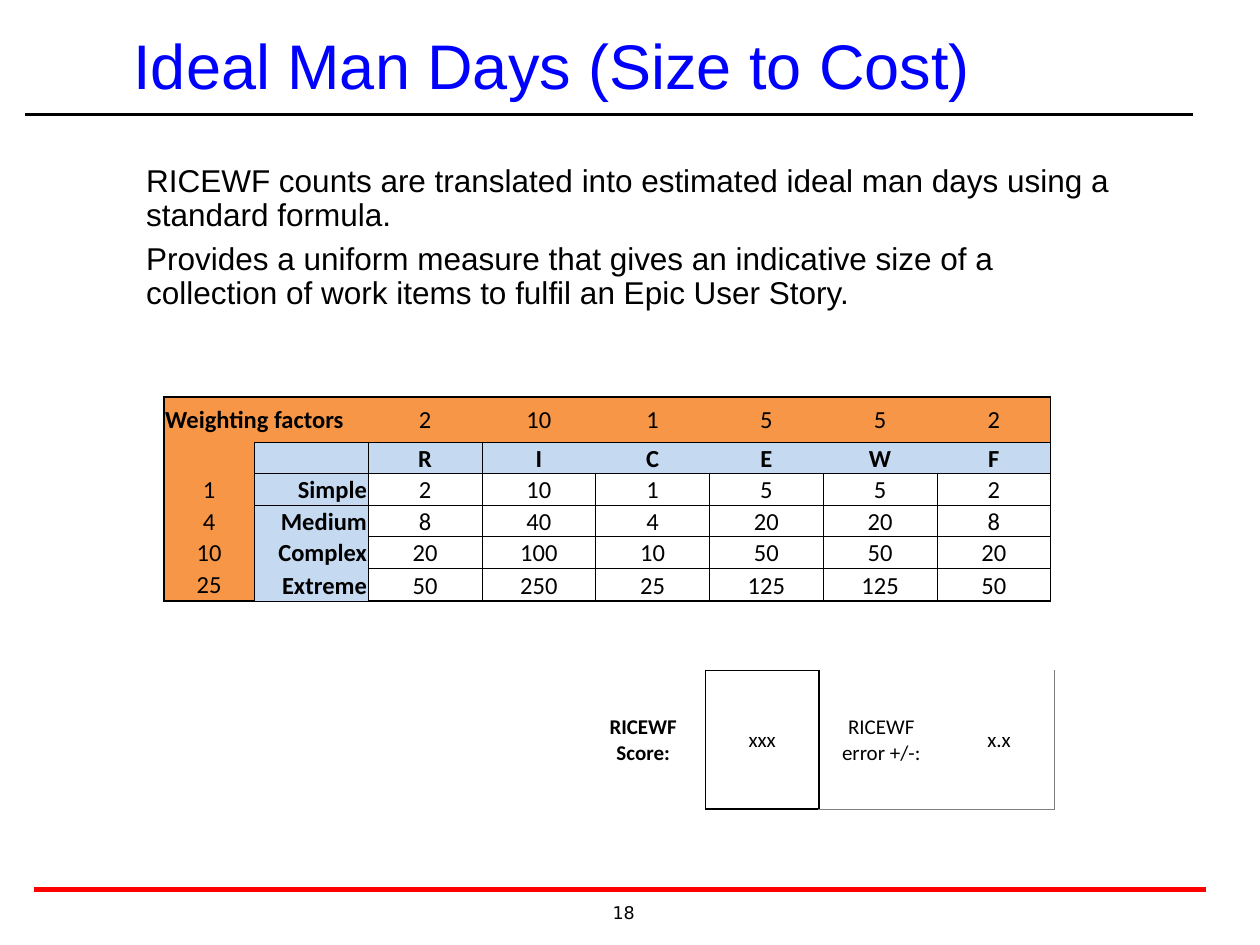
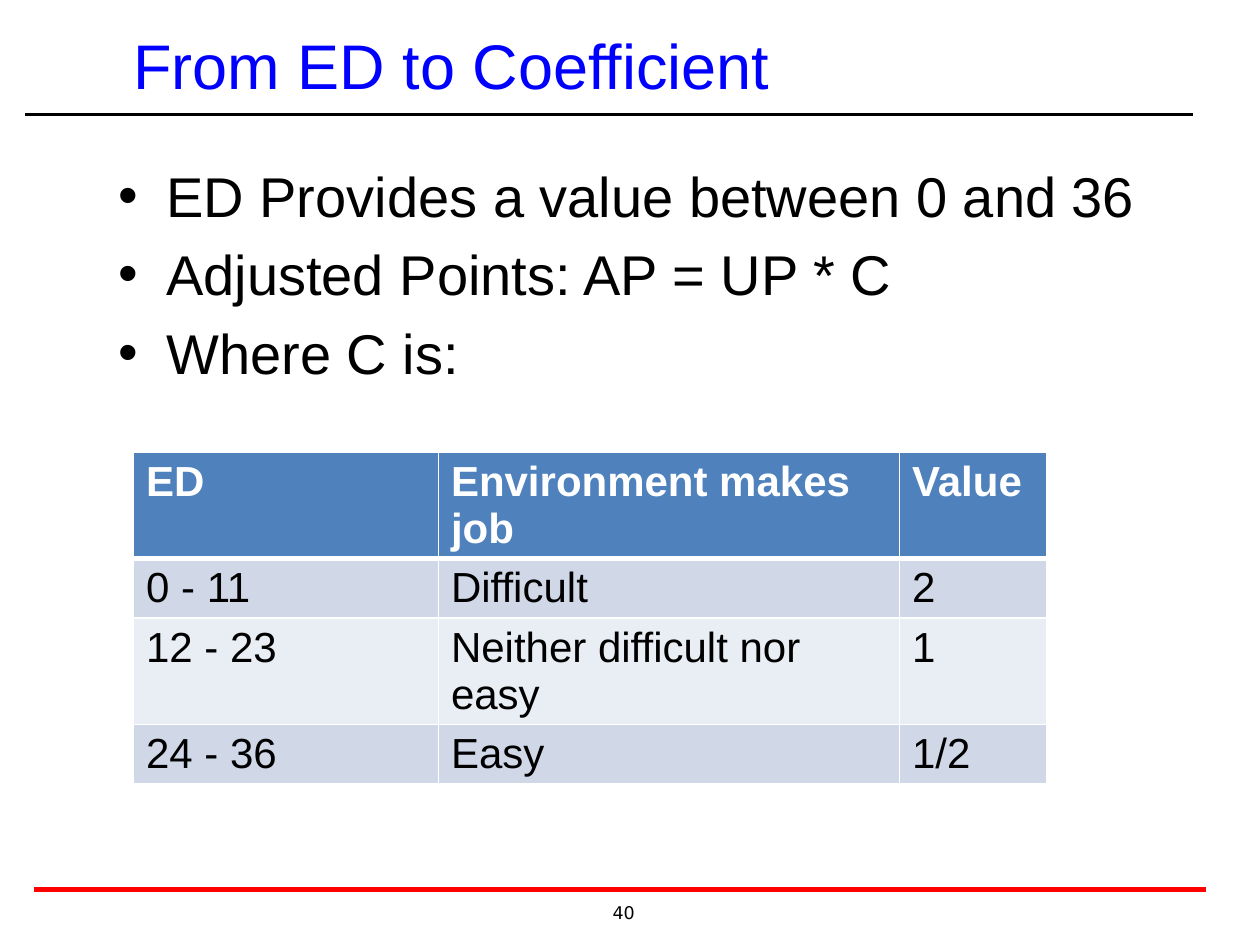
from dataclasses import dataclass

from lxml.etree import SubElement
from pptx import Presentation
from pptx.dml.color import RGBColor
from pptx.enum.shapes import MSO_CONNECTOR as Connector
from pptx.enum.text import MSO_ANCHOR as Anchor, MSO_AUTO_SIZE as AutoSize, PP_ALIGN as Align
from pptx.oxml.ns import qn
from pptx.util import Inches, Pt


@dataclass(frozen=True)
class Theme:
    # Colours
    black: str = "000000"
    white: str = "FFFFFF"
    grey: str = "808080"
    title: str = "0000FF"
    footer_rule: str = "FF0000"
    orange: str = "F79646"
    pale_blue: str = "C5D9F1"
    header: str = "4F81BD"
    bands: tuple = ("D0D8E8", "E9EDF4")
    # Fonts and sizes
    sans: str = "Arial"
    sheet: str = "Calibri"
    number: str = "DejaVu Sans"
    title_size: int = 36
    bullet_size: int = 32
    table_size: int = 24
    text_size: int = 18
    sheet_size: int = 14
    score_size: int = 12
    number_size: int = 10


THEME = Theme()
TITLE_AND_BODY = 1
PLAIN_TABLE_STYLE = "{2D5ABB26-0587-4C30-8999-92F81FD0307C}"
THIN, THICK, HEAVY = 0.5, 1, 3


# Shared helpers
def set_attributes(target, values):
    for name, value in values.items():
        setattr(target, name, value)


def place(shape, box):
    names = ("left", "top", "width", "height")
    set_attributes(shape, {name: Inches(value) for name, value in zip(names, box)})


def format_runs(paragraph, font, size, color=THEME.black, bold=False):
    for run in paragraph.runs:
        set_attributes(run.font, {"name": font, "size": Pt(size), "bold": bold})
        run.font.color.rgb = RGBColor.from_string(color)


def format_frame(frame, anchor, insets=(0, 0)):
    side, end = map(Inches, insets)
    set_attributes(frame, {
        "word_wrap": True, "auto_size": AutoSize.NONE, "vertical_anchor": anchor,
        "margin_left": side, "margin_right": side, "margin_top": end, "margin_bottom": end,
    })


def add_rule(slide, start, end, y, color, weight):
    rule = slide.shapes.add_connector(
        Connector.STRAIGHT, Inches(start), Inches(y), Inches(end), Inches(y))
    rule.line.color.rgb = RGBColor.from_string(color)
    rule.line.width = Pt(weight)
    SubElement(rule._element.spPr, qn("a:effectLst"))


def add_page(presentation, title, number):
    """Add a slide with the shared rules, page number and title."""
    slide = presentation.slides.add_slide(presentation.slide_layouts[TITLE_AND_BODY])
    add_rule(slide, 0.2, 9.47, 0.91, THEME.black, 2)
    add_rule(slide, 0.27, 9.57, 7.06, THEME.footer_rule, 3)

    # Page number
    label = slide.shapes.add_textbox(*map(Inches, (4.7, 7.12, 0.5, 0.25))).text_frame
    format_frame(label, Anchor.MIDDLE)
    label.text = str(number)
    label.paragraphs[0].alignment = Align.CENTER
    format_runs(label.paragraphs[0], THEME.number, THEME.number_size)

    # Title
    heading = slide.shapes.title
    place(heading, (1.06, 0.21, 8.43, 0.6))
    format_frame(heading.text_frame, Anchor.MIDDLE)
    heading.text_frame.text = title
    heading.text_frame.paragraphs[0].alignment = Align.LEFT
    format_runs(heading.text_frame.paragraphs[0], THEME.sans, THEME.title_size, THEME.title)
    return slide


def fill_body(slide, box, lines, size, insets, margin, hanging, spacing, gap):
    """Write paragraphs in the body placeholder, bulleted if they hang."""
    body = slide.placeholders[1]
    place(body, box)
    frame = body.text_frame
    format_frame(frame, Anchor.TOP, insets)
    frame.text = "\n".join(lines)
    for index, paragraph in enumerate(frame.paragraphs):
        properties = paragraph._p.get_or_add_pPr()
        properties.set("marL", str(Inches(margin)))
        properties.set("indent", str(Inches(-hanging)))
        if hanging:
            SubElement(properties, qn("a:buChar")).set("char", "•")
        else:
            SubElement(properties, qn("a:buNone"))
        set_attributes(paragraph, {
            "alignment": Align.LEFT, "line_spacing": spacing,
            "space_before": Pt(gap if index else 0),
        })
        format_runs(paragraph, THEME.sans, size)


# Table helpers
def add_plain_table(slide, left, top, columns, rows):
    shape = slide.shapes.add_table(
        len(rows), len(columns), Inches(left), Inches(top),
        Inches(sum(columns)), Inches(sum(rows)))
    table = shape.table
    set_attributes(table, {"first_row": False, "horz_banding": False})
    table._tbl.tblPr.find(qn("a:tableStyleId")).text = PLAIN_TABLE_STYLE
    for column, width in zip(table.columns, columns):
        column.width = Inches(width)
    for row, height in zip(table.rows, rows):
        row.height = Inches(height)
    return table


def set_borders(cell, borders, color):
    """Draw the sides named in borders, a dict of side to points."""
    properties = cell._tc.get_or_add_tcPr()
    for side in "LRTB":
        if side in borders:
            line = SubElement(properties, qn(f"a:ln{side}"), w=str(Pt(borders[side])))
            fill = SubElement(line, qn("a:solidFill"))
            SubElement(fill, qn("a:srgbClr"), val=color)


def write_cell(cell, text, font, size, color=THEME.black, bold=False, fill=None,
               borders=None, border_color=THEME.black, align=Align.LEFT,
               anchor=Anchor.TOP, insets=(0.1, 0.1, 0.05, 0.05)):
    set_borders(cell, borders or {}, border_color)
    if fill:
        cell.fill.solid()
        cell.fill.fore_color.rgb = RGBColor.from_string(fill)
    names = ("margin_left", "margin_right", "margin_top", "margin_bottom")
    set_attributes(cell, {name: Inches(inset) for name, inset in zip(names, insets)})
    cell.vertical_anchor = anchor
    if text:
        cell.text_frame.text = text
    paragraph = cell.text_frame.paragraphs[0]
    paragraph.alignment = align
    format_runs(paragraph, font, size, color, bold)
    if not text:
        SubElement(paragraph._p, qn("a:endParaRPr"), sz=str(size * 100))


SHEET_INSETS = (0.01, 0.01, 0.01, 0)


# Weighting table
def weighting_borders(row, column, last_row, last_column):
    if row == 0:
        borders = {"T": THICK}
        if column == 0:
            borders["L"] = THICK
        if column >= 2:
            borders["B"] = THIN
        if column == last_column:
            borders["R"] = THICK
    elif column == 0:
        borders = {"L": THICK, "R": THIN}
        if row == last_row:
            borders["B"] = THICK
    elif row == 1:
        borders = {"T": THIN, "B": THIN}
        if column <= 2:
            borders["L"] = THIN
        if column in (1, last_column):
            borders["R"] = THIN
    elif column == 1:
        borders = {"L": THIN, "R": THIN}
        if row == 2:
            borders["T"] = THIN
        if row == last_row:
            borders["B"] = THIN
    else:
        borders = dict.fromkeys("LRTB", THIN)
        if column == last_column:
            borders["R"] = THICK
        if row == last_row:
            borders["B"] = THICK
    return borders


def add_weighting_table(slide, left, top, width):
    weights = {"R": 2, "I": 10, "C": 1, "E": 5, "W": 5, "F": 2}
    levels = {"Simple": 1, "Medium": 4, "Complex": 10, "Extreme": 25}
    rows = [["Weighting factors", "", *weights.values()], ["", "", *weights]]
    for level, factor in levels.items():
        rows.append([factor, level, *(factor * weight for weight in weights.values())])

    last_row, last_column = len(rows) - 1, len(rows[0]) - 1
    factor_width = 0.72
    table = add_plain_table(
        slide, left, top,
        [factor_width] + [(width - factor_width) / last_column] * last_column,
        [0.36] + [0.25] * 4 + [0.26])
    table.cell(0, 0).merge(table.cell(0, 1))
    for r, values in enumerate(rows):
        for c, value in enumerate(values):
            is_level = r > 1 and c == 1
            if r == 0 or c == 0:
                fill = THEME.orange
            else:
                fill = THEME.pale_blue if r == 1 or c == 1 else THEME.white
            align = Align.RIGHT if is_level else Align.CENTER
            write_cell(
                table.cell(r, c), str(value), THEME.sheet, THEME.sheet_size,
                bold=isinstance(value, str), fill=fill,
                borders=weighting_borders(r, c, last_row, last_column),
                align=Align.LEFT if r == c == 0 else align,
                anchor=Anchor.BOTTOM if r > 1 and c else Anchor.MIDDLE,
                insets=SHEET_INSETS)


# Score table
def add_score_table(slide, left, top):
    cells = [
        ("RICEWF Score:", {"R": THICK}, THEME.black),
        ("xxx", dict.fromkeys("LRTB", THICK), THEME.black),
        ("RICEWF\verror +/-:", {"B": THIN}, THEME.grey),
        ("x.x", {"R": THIN, "B": THIN}, THEME.grey),
    ]
    table = add_plain_table(slide, left, top, [0.99, 0.9, 0.99, 0.88], [1.1])
    for column, (text, borders, color) in enumerate(cells):
        write_cell(table.cell(0, column), text, THEME.sheet, THEME.score_size,
                   bold=column == 0, borders=borders, border_color=color,
                   align=Align.CENTER, anchor=Anchor.MIDDLE, insets=SHEET_INSETS)


# Coefficient table
def add_coefficient_table(slide, left, top):
    rows = [
        ("ED", "Environment makes job", "Value"),
        ("0 - 11", "Difficult", "2"),
        ("12 - 23", "Neither difficult nor easy", "1"),
        ("24 - 36", "Easy", "1/2"),
    ]
    table = add_plain_table(slide, left, top, [2.42, 3.66, 1.17], [0.41] * len(rows))
    for r, values in enumerate(rows):
        is_header = r == 0
        borders = dict.fromkeys("LRTB", THICK)
        if is_header:
            borders["B"] = HEAVY
        elif r == 1:
            borders["T"] = HEAVY
        for c, text in enumerate(values):
            write_cell(table.cell(r, c), text, THEME.sans, THEME.table_size,
                       color=THEME.white if is_header else THEME.black, bold=is_header,
                       fill=THEME.header if is_header else THEME.bands[(r - 1) % 2],
                       borders=borders, border_color=THEME.white)


# Slides
def build_man_days(presentation):
    slide = add_page(presentation, "Ideal Man Days (Size to Cost)", 18)
    fill_body(slide, (0.98, 1.31, 7.95, 1.22), [
        "RICEWF counts are translated into estimated ideal man days using a standard formula.",
        "Provides a uniform measure that gives an indicative size of a collection of work "
        "items to fulfil an Epic User Story.",
    ], THEME.text_size, (0, 0), margin=0.18, hanging=0, spacing=0.9, gap=6)
    add_weighting_table(slide, 1.3, 3.15, 7.04)
    add_score_table(slide, 4.61, 5.32)


def build_coefficient(presentation):
    slide = add_page(presentation, "From ED to Coefficient", 40)
    fill_body(slide, (0.9, 1.23, 8.21, 1.93), [
        "ED Provides a value between 0 and 36",
        "Adjusted Points: AP = UP * C",
        "Where C is:",
    ], THEME.bullet_size, (0.04, 0.05), margin=0.38, hanging=0.38, spacing=1.0, gap=6.4)
    add_coefficient_table(slide, 1.06, 3.59)


def main():
    presentation = Presentation()
    set_attributes(presentation, {"slide_width": Inches(10), "slide_height": Inches(7.5)})
    build_man_days(presentation)
    build_coefficient(presentation)
    presentation.save("out.pptx")


if __name__ == "__main__":
    main()
